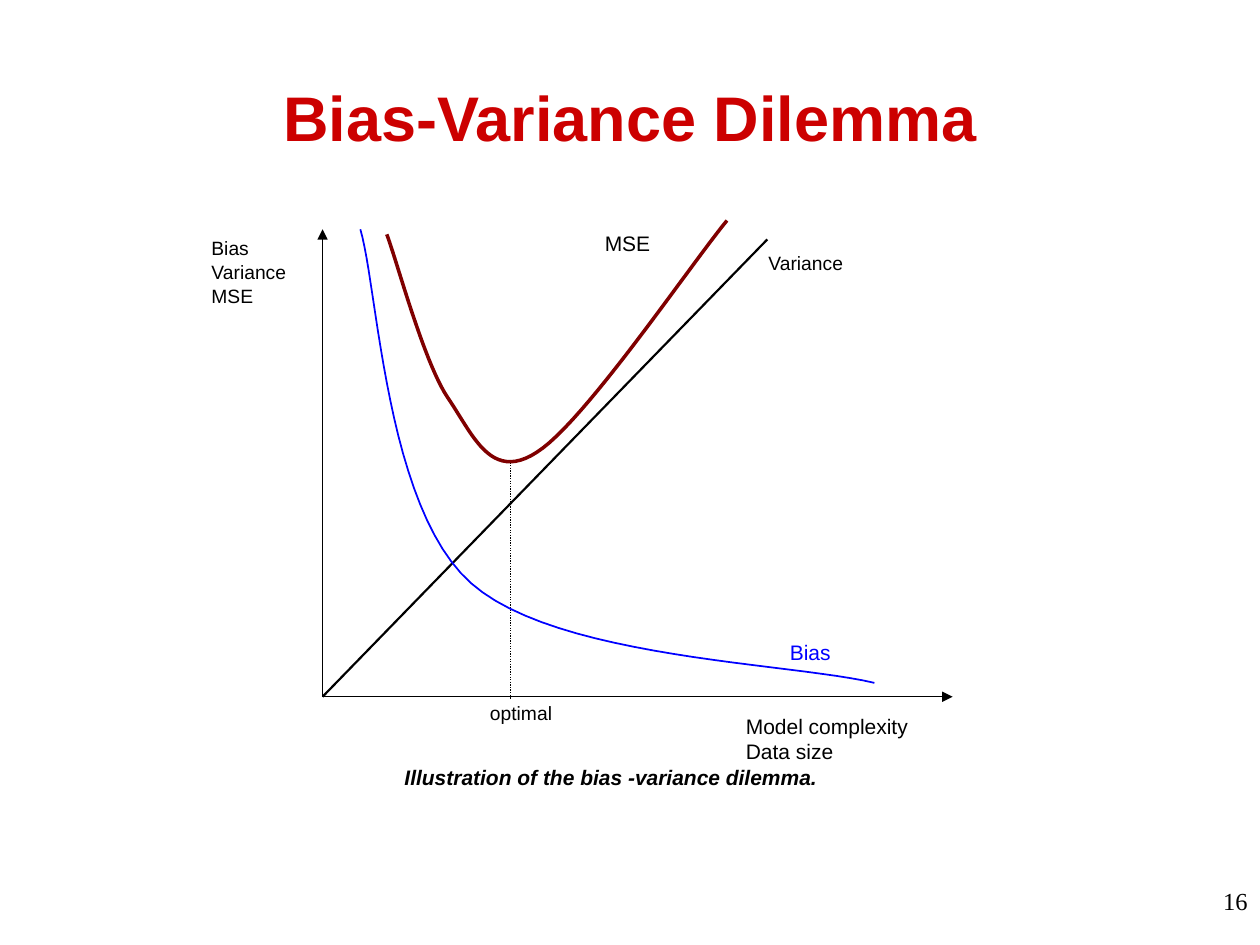
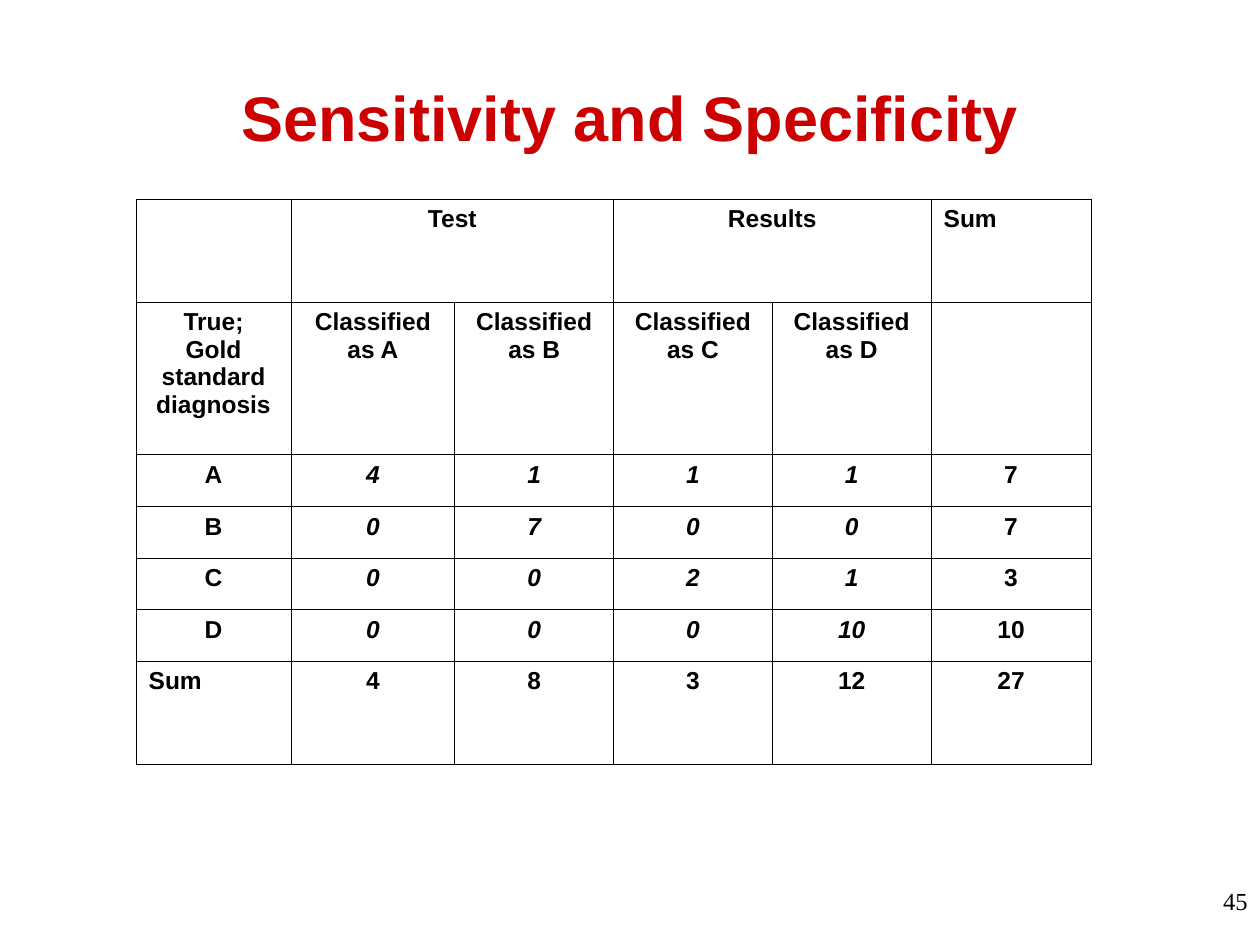
"""Build two slides: the bias-variance curves and a classification table."""
from lxml.etree import SubElement
from pptx import Presentation
from pptx.dml.color import RGBColor
from pptx.enum.dml import MSO_LINE
from pptx.enum.shapes import MSO_CONNECTOR, MSO_SHAPE
from pptx.enum.text import MSO_ANCHOR as ANCHOR, MSO_AUTO_SIZE, PP_ALIGN as ALIGN
from pptx.oxml.ns import qn
from pptx.util import Pt

PX = 9144
TITLE_RED = RGBColor(0xCC, 0x00, 0x00)
BLACK = RGBColor(0x00, 0x00, 0x00)
WHITE = RGBColor(0xFF, 0xFF, 0xFF)
BLUE = RGBColor(0x00, 0x00, 0xFF)
MAROON = RGBColor(0x80, 0x00, 0x00)


def px(*lengths):
    return [round(length * PX) for length in lengths]


def write(frame, text, size=12, color=BLACK, font="Arial", bold=False,
          italic=False, align=ALIGN.LEFT, spacing=None):
    for index, line in enumerate(text.split("\n")):
        paragraph = frame.add_paragraph() if index else frame.paragraphs[0]
        paragraph.alignment = align
        if spacing:
            paragraph.line_spacing = spacing
        run = paragraph.add_run()
        run.text = line
        run.font.name = font
        run.font.size = Pt(size)
        run.font.bold = bold
        run.font.italic = italic
        run.font.color.rgb = color


presentation = Presentation()
presentation.slide_width, presentation.slide_height = px(1000, 750)

slides = []
for title_text, number in [("Bias-Variance Dilemma", "16"), ("Sensitivity and Specificity", "45")]:
    slide = presentation.slides.add_slide(presentation.slide_layouts[5])
    title = slide.shapes.title
    title.left, title.top, title.width, title.height = px(50, 30, 900, 125)
    title.text_frame.auto_size = MSO_AUTO_SIZE.NONE
    title.text_frame.vertical_anchor = ANCHOR.MIDDLE
    write(title.text_frame, title_text, size=36, color=TITLE_RED, bold=True, align=ALIGN.CENTER)
    number_box = slide.shapes.add_textbox(*px(767, 698, 233, 52))
    number_box.text_frame.word_wrap = True
    write(number_box.text_frame, number, size=14, font="Times New Roman", align=ALIGN.RIGHT)
    slides.append(slide)
curve_slide, table_slide = slides

plates = [
    ("MSE", (464, 183, 68, 24), 0, {}),
    ("Illustration of the bias -variance dilemma.", (243, 602, 484, 47), 5,
     dict(bold=True, italic=True)),
]
for text, place, margin, text_format in plates:
    plate = curve_slide.shapes.add_shape(MSO_SHAPE.RECTANGLE, *px(*place))
    plate.shadow.inherit = False
    plate.fill.solid()
    plate.fill.fore_color.rgb = WHITE
    plate.line.fill.background()
    frame = plate.text_frame
    frame.word_wrap = True
    frame.vertical_anchor = ANCHOR.TOP
    frame.margin_top, frame.margin_bottom = px(margin, margin)
    frame.margin_left, frame.margin_right = px(2 * margin, 2 * margin)
    write(frame, text, align=ALIGN.CENTER, **text_format)

ORIGIN = (256, 553)
lines = [
    (ORIGIN, (256, 182), 0.75, "arrow"),
    (ORIGIN, (756, 553), 0.75, "arrow"),
    (ORIGIN, (609, 190), 1.25, "plain"),
    ((405, 365), (405, 555), 0.75, "dotted"),
]
for start, end, width, style in lines:
    connector = curve_slide.shapes.add_connector(MSO_CONNECTOR.STRAIGHT, *px(*start, *end))
    connector.line.color.rgb = BLACK
    connector.line.width = Pt(width)
    properties = connector._element.spPr
    if style == "dotted":
        connector.line.dash_style = MSO_LINE.ROUND_DOT
    if style == "arrow":
        SubElement(properties.find(qn("a:ln")), qn("a:tailEnd"), type="triangle")
    SubElement(properties, qn("a:effectLst"))

STEPS = 24
bias_curve = [(286, 182), (300, 229), (306, 403), (374, 463),
              (442, 523), (627, 526), (694, 542)]
mse_curve = [(307, 186), (315, 207), (336, 286), (355, 315), (375, 344),
             (389, 383), (426, 359), (463, 336), (546, 213), (577, 175)]
for controls, color, width in [(bias_curve, BLUE, 1), (mse_curve, MAROON, 2)]:
    points = []
    for first in range(0, len(controls) - 1, 3):
        for step in range(1, STEPS + 1):
            t = step / STEPS
            weights = ((1 - t) ** 3, 3 * t * (1 - t) ** 2, 3 * t ** 2 * (1 - t), t ** 3)
            segment = zip(*controls[first:first + 4])
            points.append(px(*(sum(w * c for w, c in zip(weights, axis)) for axis in segment)))
    builder = curve_slide.shapes.build_freeform(*px(*controls[0]), scale=1.0)
    builder.add_line_segments(points, close=False)
    curve = builder.convert_to_shape()
    curve.shadow.inherit = False
    curve.fill.background()
    curve.line.color.rgb = color
    curve.line.width = Pt(width)

axis_format = dict(size=11, align=ALIGN.JUSTIFY, spacing=1.04)
labels = [
    ("Bias Variance MSE", (158, 182, 97, 86), True, axis_format),
    ("Model complexity\nData size", (592, 566, 167, 60), False, {}),
    ("optimal", (379, 551, 83, 43), True, axis_format),
    ("Bias", (617, 503, 83, 43), True, dict(color=BLUE)),
    ("Variance", (600, 194, 97, 43), True, axis_format),
]
for text, place, padded, text_format in labels:
    frame = curve_slide.shapes.add_textbox(*px(*place)).text_frame
    frame.word_wrap = True
    if not padded:
        frame.margin_left = frame.margin_top = frame.margin_right = frame.margin_bottom = 0
    write(frame, text, **text_format)

COLUMN_WIDTHS = [123, 130, 126, 126, 126, 127]
ROW_HEIGHTS = [82, 121, 41, 41, 41, 41, 82]
rows = [
    ["", "Test", "", "Results", "", "Sum"],
    ["True;\nGold standard diagnosis"] + [f"Classified as {name}" for name in "ABCD"] + [""],
    ["A", "4", "1", "1", "1", "7"],
    ["B", "0", "7", "0", "0", "7"],
    ["C", "0", "0", "2", "1", "3"],
    ["D", "0", "0", "0", "10", "10"],
    ["Sum", "4", "8", "3", "12", "27"],
]
table = table_slide.shapes.add_table(
    len(rows), len(COLUMN_WIDTHS), *px(108, 158, sum(COLUMN_WIDTHS), sum(ROW_HEIGHTS))).table
table.first_row = table.horz_banding = False
for column, width in zip(table.columns, px(*COLUMN_WIDTHS)):
    column.width = width
for row, height in zip(table.rows, px(*ROW_HEIGHTS)):
    row.height = height
for first in (1, 3):
    table.cell(0, first).merge(table.cell(0, first + 1))

for row_index, row in enumerate(rows):
    for column_index, text in enumerate(row):
        cell = table.cell(row_index, column_index)
        cell_properties = cell._tc.get_or_add_tcPr()
        for side in ("lnL", "lnR", "lnT", "lnB"):
            border = SubElement(cell_properties, qn(f"a:{side}"), w=str(Pt(0.45)))
            fill = SubElement(border, qn("a:solidFill"))
            SubElement(fill, qn("a:srgbClr"), val=str(BLACK))
        cell.fill.background()
        if text:
            is_count = 2 <= row_index <= 5 and 1 <= column_index <= 4
            write(cell.text_frame, text, size=14, bold=True, italic=is_count,
                  align=ALIGN.LEFT if text == "Sum" else ALIGN.CENTER)

presentation.save("out.pptx")
